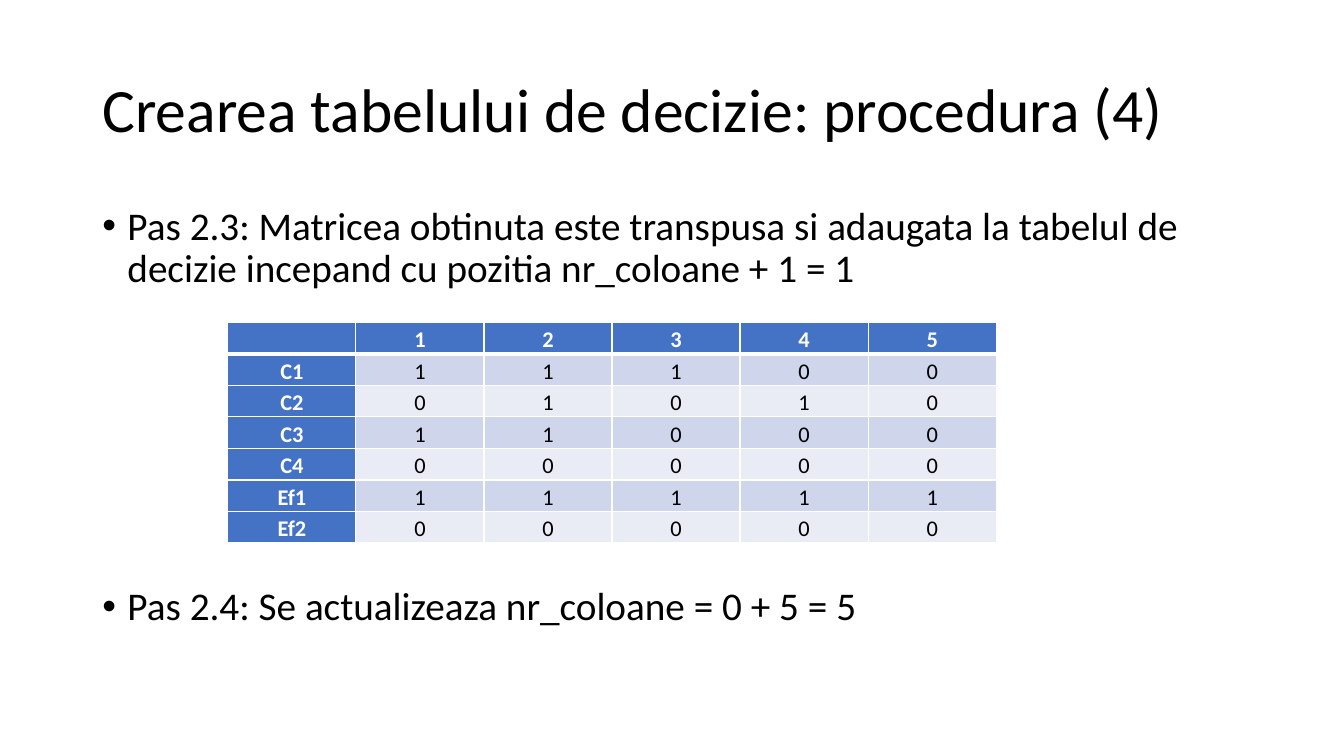
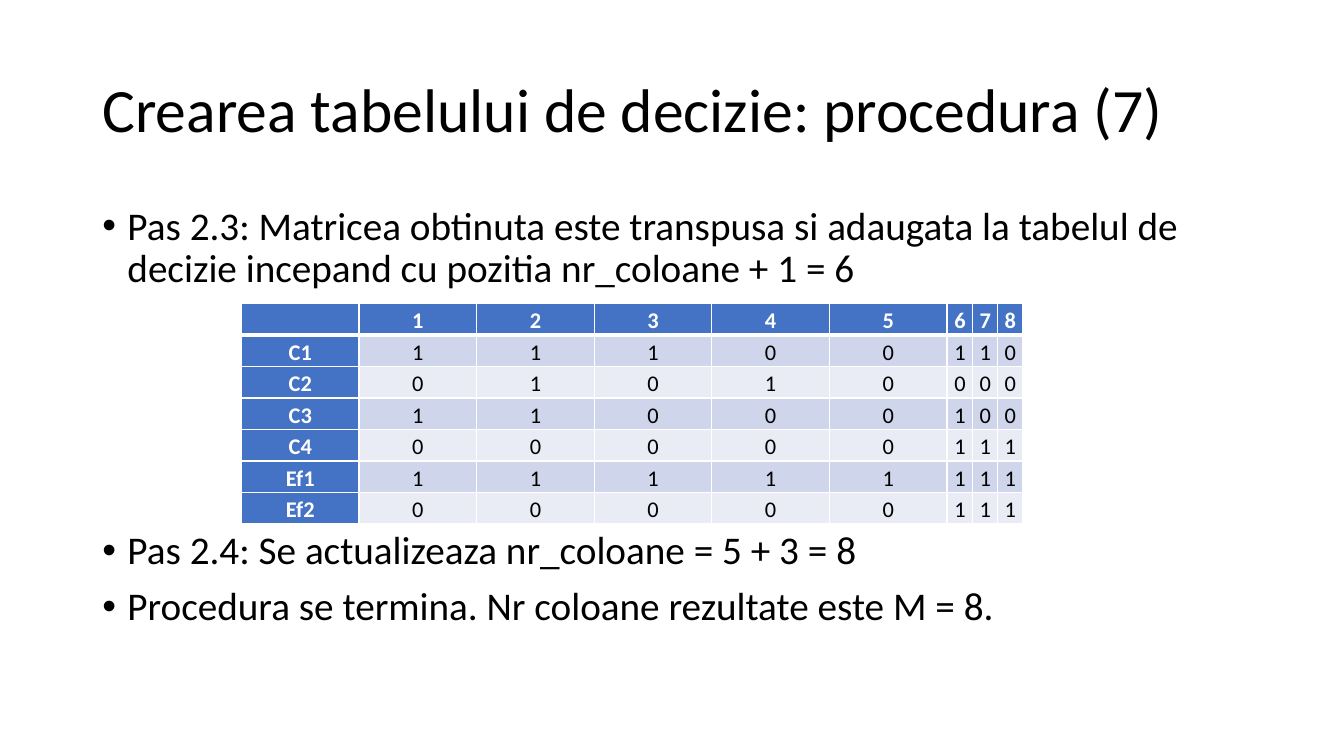
"""Builds two slides on filling in a decision table step by step."""
from dataclasses import dataclass

from lxml import etree
from pptx import Presentation
from pptx.dml.color import RGBColor
from pptx.enum.text import MSO_ANCHOR, MSO_AUTO_SIZE, PP_ALIGN
from pptx.oxml.ns import qn
from pptx.util import Pt

LEFT, CENTER = PP_ALIGN.LEFT, PP_ALIGN.CENTER
TOP, MIDDLE = MSO_ANCHOR.TOP, MSO_ANCHOR.MIDDLE
NO_AUTOFIT = MSO_AUTO_SIZE.NONE
EMU_PER_PX = 9525
TITLE_ONLY = 5


@dataclass(frozen=True)
class Theme:
    """Colours, font and type sizes of the slides."""
    font: str = "Calibri"
    ink: str = "000000"
    paper: str = "FFFFFF"
    heading: str = "4472C4"
    bands: tuple = ("CFD5EA", "E9EBF5")
    title_size: int = 44
    step_size: int = 28
    cell_size: int = 16


THEME = Theme()
CONTENT_LEFT, CONTENT_WIDTH = 88, 1104
BULLET_INDENT = 24
ROW_HEIGHT = 30
CELL_INSET = 7

LABELS = ["", "C1", "C2", "C3", "C4", "Ef1", "Ef2"]
FIRST_COLUMNS = ["12345", "11100", "01010", "11000", "00000", "11111", "00000"]
ADDED_COLUMNS = ["678", "110", "000", "100", "111", "111", "111"]


def px(length):
    """Turn px into EMU."""
    return length * EMU_PER_PX


def write(paragraph, text, *, size, color=THEME.ink, bold=False, align=LEFT,
          spacing=0.9, before=0):
    """Put formatted text into a paragraph."""
    paragraph.alignment = align
    paragraph.line_spacing = spacing
    paragraph.space_before = Pt(before)
    run = paragraph.add_run()
    run.text = text
    run.font.name = THEME.font
    run.font.size = Pt(size)
    run.font.bold = bold
    run.font.color.rgb = RGBColor.from_string(color)


def set_up_frame(frame, anchor):
    """Wrap the text of a frame without resizing it."""
    frame.word_wrap = True
    frame.auto_size = NO_AUTOFIT
    frame.vertical_anchor = anchor


def add_bullet(paragraph):
    """Give a paragraph a hanging round bullet."""
    properties = paragraph._p.get_or_add_pPr()
    properties.set("marL", str(px(BULLET_INDENT)))
    properties.set("indent", str(-px(BULLET_INDENT)))
    etree.SubElement(properties, qn("a:buFont"), typeface="Arial")
    etree.SubElement(properties, qn("a:buChar"), char="•")


def add_titled_slide(deck, title):
    """Add a slide with its title in place."""
    slide = deck.slides.add_slide(deck.slide_layouts[TITLE_ONLY])
    heading = slide.shapes.title
    heading.left, heading.top = px(CONTENT_LEFT), px(38)
    heading.width, heading.height = px(CONTENT_WIDTH), px(139)
    set_up_frame(heading.text_frame, MIDDLE)
    write(heading.text_frame.paragraphs[0], title, size=THEME.title_size)
    return slide


def add_steps(slide, steps):
    """Add the bulleted steps, each with its space before in points."""
    box = slide.shapes.add_textbox(
        px(CONTENT_LEFT), px(192), px(CONTENT_WIDTH), px(457))
    frame = box.text_frame
    set_up_frame(frame, TOP)
    for index, (text, before) in enumerate(steps):
        paragraph = frame.add_paragraph() if index else frame.paragraphs[0]
        write(paragraph, text, size=THEME.step_size, before=before)
        add_bullet(paragraph)


def add_borders(cell, top, bottom):
    """Draw the cell borders, with top and bottom widths in points."""
    properties = cell._tc.get_or_add_tcPr()
    for side, width in (("L", 1), ("R", 1), ("T", top), ("B", bottom)):
        line = etree.SubElement(properties, qn(f"a:ln{side}"), w=str(Pt(width)))
        fill = etree.SubElement(line, qn("a:solidFill"))
        etree.SubElement(fill, qn("a:srgbClr"), val=THEME.paper)


def format_cell(cell, text, row, column):
    """Fill one cell by its place in the table."""
    is_heading = row == 0 or column == 0
    cell.margin_left = cell.margin_right = px(CELL_INSET)
    cell.margin_top = cell.margin_bottom = 0
    add_borders(cell, 3 if row == 1 else 1, 3 if row == 0 else 1)
    background = THEME.heading if is_heading else THEME.bands[(row - 1) % 2]
    cell.fill.solid()
    cell.fill.fore_color.rgb = RGBColor.from_string(background)
    if text:
        write(cell.text_frame.paragraphs[0], text, size=THEME.cell_size,
              color=THEME.paper if is_heading else THEME.ink,
              bold=is_heading, align=CENTER, spacing=1.15)


def add_decision_table(slide, left, top, widths, values):
    """Add a table with one label and a string of digits per row."""
    table = slide.shapes.add_table(
        len(values), len(widths), px(left), px(top),
        px(sum(widths)), px(ROW_HEIGHT * len(values))).table
    table.first_col = True
    table.horz_banding = False
    for column, width in zip(table.columns, widths):
        column.width = px(width)
    for row, (label, digits) in enumerate(zip(LABELS, values)):
        for column, text in enumerate([label, *digits]):
            format_cell(table.cell(row, column), text, row, column)


def add_procedure(deck, number, position, closing, left, top, widths, values):
    """Add one slide of the procedure."""
    slide = add_titled_slide(
        deck, f"Crearea tabelului de decizie: procedura ({number})")
    opening = ("Pas 2.3: Matricea obtinuta este transpusa si adaugata la tabelul "
               f"de decizie incepand cu pozitia nr_coloane + 1 = {position}")
    add_steps(slide, [(opening, 10), *closing])
    add_decision_table(slide, left, top, widths, values)


def main():
    """Build and save the slides."""
    deck = Presentation()
    deck.slide_width, deck.slide_height = px(1280), px(720)
    add_procedure(
        deck, 4, 1, [("Pas 2.4: Se actualizeaza nr_coloane = 0 + 5 = 5", 211)],
        217, 307, [122] * 6, FIRST_COLUMNS)
    all_columns = [first + added
                   for first, added in zip(FIRST_COLUMNS, ADDED_COLUMNS)]
    add_procedure(
        deck, 7, 6,
        [("Pas 2.4: Se actualizeaza nr_coloane = 5 + 3 = 8", 171),
         ("Procedura se termina. Nr coloane rezultate este M = 8.", 10)],
        230, 289, [112] * 6 + [24] * 3, all_columns)
    deck.save("out.pptx")


if __name__ == "__main__":
    main()
